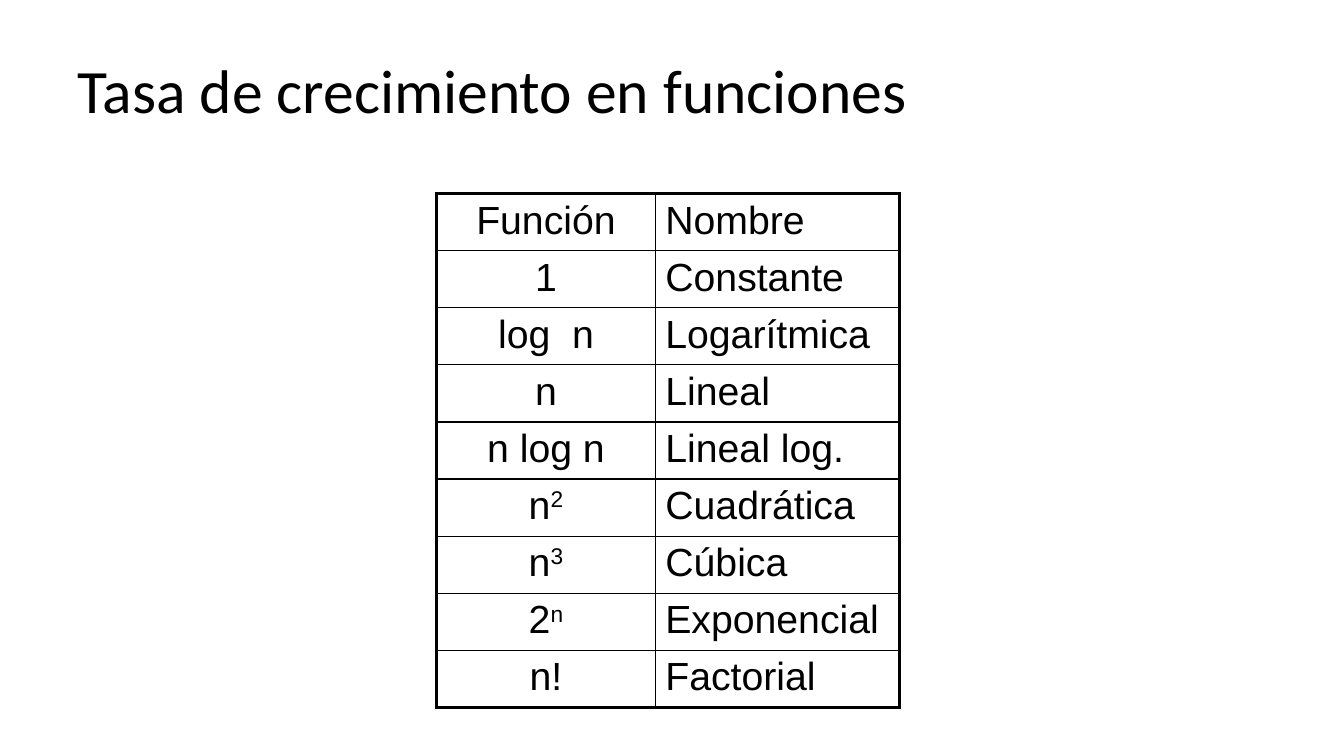
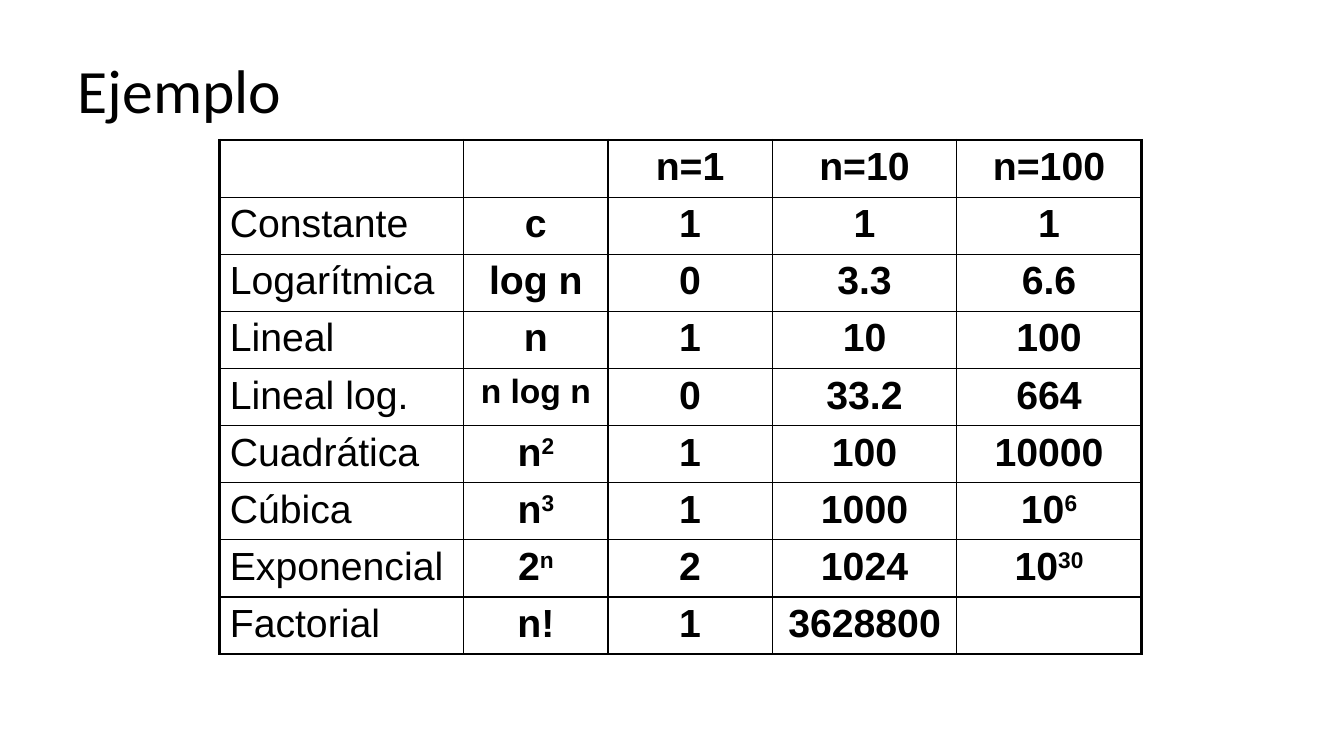
from lxml.etree import SubElement
from pptx import Presentation
from pptx.dml.color import RGBColor
from pptx.enum.text import MSO_ANCHOR, PP_ALIGN
from pptx.oxml import parse_xml
from pptx.oxml.ns import nsdecls, qn
from pptx.util import Inches, Pt

INK = {"text": "000000", "line": "000000"}
THIN, THICK = 1, 2.25
TALL = 5.1
HEAD = {"name": "Calibri", "size": Pt(44), "bold": False}
BODY = {"name": "Arial", "size": Pt(28), "bold": False}
BOLD = BODY | {"bold": True}
SMALL = BOLD | {"size": Pt(24)}

# A caret starts the superscript part of a cell.
SLIDES = [
    {"title": "Tasa de crecimiento en funciones",
     "at": (4.33, 1.92), "cols": (2.17, 2.42), "left": 1, "style": BODY,
     "small": (),
     "rows": [("Función", "Nombre"), ("1", "Constante"),
              ("log  n", "Logarítmica"), ("n", "Lineal"),
              ("n log n", "Lineal log."), ("n^2", "Cuadrática"),
              ("n^3", "Cúbica"), ("2^n", "Exponencial"),
              ("n!", "Factorial")]},
    {"title": "Ejemplo",
     "at": (2.18, 1.39), "cols": (2.42, 1.43, 1.63, 1.83, 1.83),
     "left": 0, "style": BOLD, "small": ("n log n",),
     "rows": [("", "", "n=1", "n=10", "n=100"),
              ("Constante", "c", "1", "1", "1"),
              ("Logarítmica", "log n", "0", "3.3", "6.6"),
              ("Lineal", "n", "1", "10", "100"),
              ("Lineal log.", "n log n", "0", "33.2", "664"),
              ("Cuadrática", "n^2", "1", "100", "10000"),
              ("Cúbica", "n^3", "1", "1000", "10^6"),
              ("Exponencial", "2^n", "2", "1024", "10^30"),
              ("Factorial", "n!", "1", "3628800", "")]},
]


def style(font, form):
    """Apply a dict of format values and the text colour to a font."""
    for key, value in form.items():
        setattr(font, key, value)
    font.color.rgb = RGBColor.from_string(INK["text"])


def frame(cell, sides):
    """Clear the fill of a cell and draw its four borders."""
    cell.fill.background()
    props = cell._tc.get_or_add_tcPr()
    for spot, (side, width) in enumerate(sides.items()):
        props.insert(spot, parse_xml(
            f'<a:ln{side} {nsdecls("a")} w="{Pt(width)}"><a:solidFill>'
            f'<a:srgbClr val="{INK["line"]}"/></a:solidFill></a:ln{side}>'))


deck = Presentation()
deck.slide_width, deck.slide_height = Inches(13.33), Inches(7.5)
layout = deck.slide_layouts.get_by_name("Title Only")
base = layout.placeholders[0]
base.left, base.top = Inches(0.67), Inches(0.3)
base.width, base.height = Inches(12), Inches(1.25)

for page in SLIDES:
    slide = deck.slides.add_slide(layout)
    title = slide.shapes.title.text_frame
    title.text = page["title"]
    title.vertical_anchor = MSO_ANCHOR.MIDDLE
    line = title.paragraphs[0]
    line.alignment, line.line_spacing = PP_ALIGN.LEFT, 0.9
    style(line.runs[0].font, HEAD)

    rows, cols = page["rows"], page["cols"]
    x, y = page["at"]
    table = slide.shapes.add_table(
        len(rows), len(cols), Inches(x), Inches(y),
        Inches(sum(cols)), Inches(TALL)).table
    table.first_row = table.horz_banding = False
    for col, width in zip(table.columns, cols):
        col.width = Inches(width)

    for r, row in enumerate(rows):
        table.rows[r].height = Inches(TALL / len(rows))
        for c, text in enumerate(row):
            cell = table.cell(r, c)
            edges = {"L": c == 0, "R": c == len(cols) - 1,
                     "T": r == 0, "B": r == len(rows) - 1}
            frame(cell, {side: THICK if outer else THIN
                         for side, outer in edges.items()})
            if not text:
                continue
            para = cell.text_frame.paragraphs[0]
            label = c == page["left"]
            para.alignment = PP_ALIGN.LEFT if label else PP_ALIGN.CENTER
            gap = SubElement(para._p.get_or_add_pPr(), qn("a:spcBef"))
            SubElement(gap, qn("a:spcPct"), val="20000")
            form = BODY if label else page["style"]
            if text in page["small"]:
                form = SMALL
            for part, word in enumerate(text.split("^")):
                run = para.add_run()
                run.text = word
                style(run.font, form)
                if part:
                    run.font._element.set("baseline", "30000")

deck.save("out.pptx")
